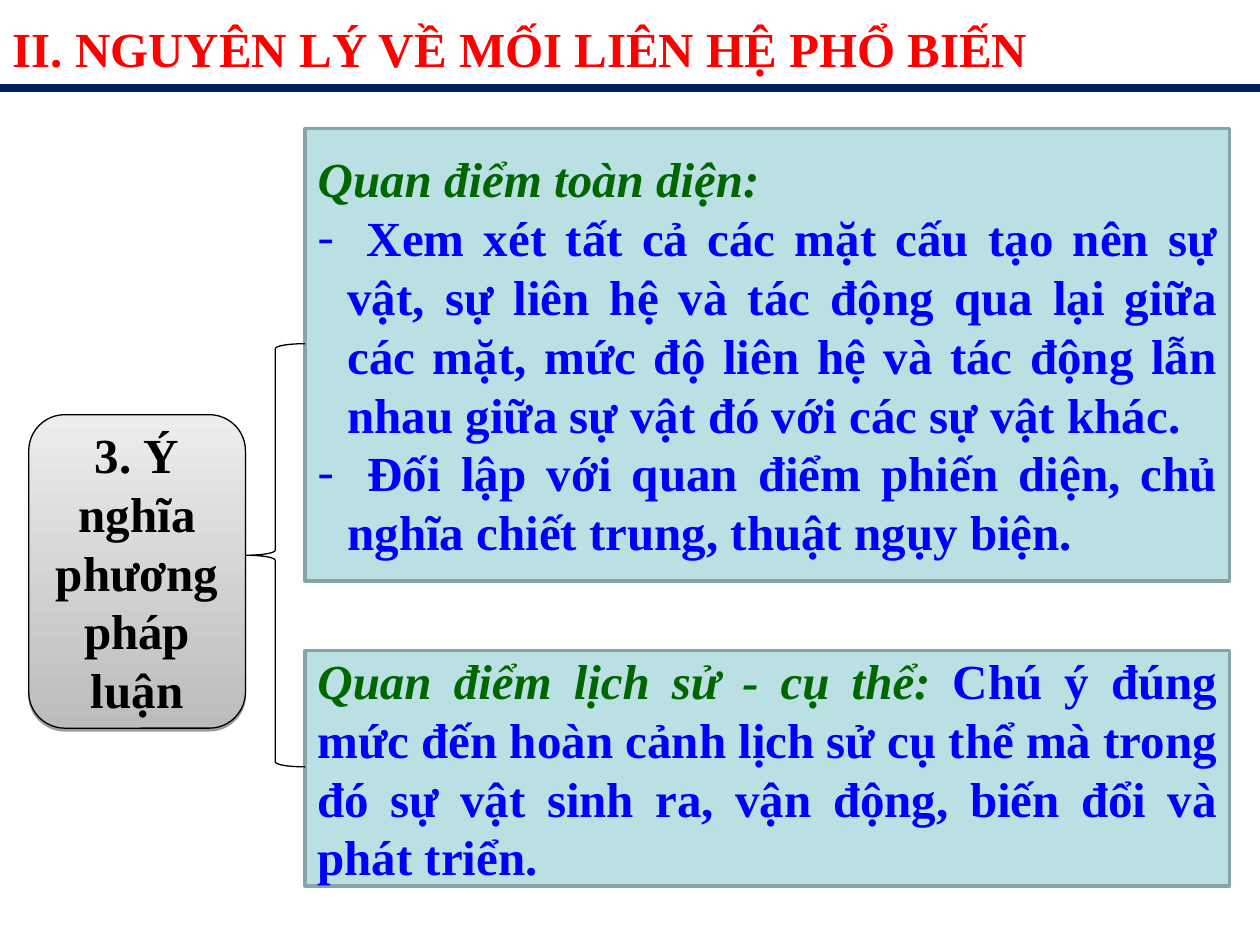
from dataclasses import dataclass

import pptx
import pptx.dml.color
import pptx.enum.shapes
import pptx.enum.text
import pptx.oxml
import pptx.oxml.ns
import pptx.util
from lxml import etree

Cm, Pt = pptx.util.Cm, pptx.util.Pt
Align = pptx.enum.text.PP_ALIGN
Anchor = pptx.enum.text.MSO_ANCHOR
Preset = pptx.enum.shapes.MSO_SHAPE
qn = pptx.oxml.ns.qn

FONT = "Times New Roman"
SIZE = 28
COLOURS = {
    "title": "FF0000", "rule": "002060", "heading": "006600", "body": "0000FF",
    "panel": "BBE0E3", "border": "89A4A7", "black": "000000",
    "grey_dark": "BCBCBC", "grey_light": "EDEDED",
}


@dataclass
class Span:
    text: str
    colour: str
    italic: bool = False


@dataclass
class Para:
    spans: list[Span]
    align: Align = Align.JUSTIFY
    bullet: bool = False
    spacing: float = 1.0
    hanging: float = 0


@dataclass
class Place:
    left: float
    top: float
    width: float
    height: float

    def lengths(self) -> list:
        return [Cm(v) for v in (self.left, self.top, self.width, self.height)]


def rgb(name: str) -> pptx.dml.color.RGBColor:
    return pptx.dml.color.RGBColor.from_string(COLOURS[name])


def put(box, place: Place) -> None:
    box.left, box.top, box.width, box.height = place.lengths()


def outline(box, colour: str, width: float) -> None:
    box.line.color.rgb = rgb(colour)
    box.line.width = Pt(width)


def write(box, paras: list[Para], anchor: Anchor = Anchor.MIDDLE) -> None:
    frame = box.text_frame
    frame.word_wrap = True
    frame.auto_size = pptx.enum.text.MSO_AUTO_SIZE.NONE
    frame.vertical_anchor = anchor
    for number, para in enumerate(paras):
        target = frame.add_paragraph() if number else frame.paragraphs[0]
        target.alignment = para.align
        target.line_spacing = para.spacing
        target.space_before = Pt(0)
        format_bullet(target, para)
        for span in para.spans:
            run = target.add_run()
            run.text = span.text
            run.font.name = FONT
            run.font.size = Pt(SIZE)
            run.font.bold = True
            run.font.italic = span.italic
            run.font.color.rgb = rgb(span.colour)


def format_bullet(target, para: Para) -> None:
    props = target._p.get_or_add_pPr()
    indent = Cm(para.hanging)
    props.set("marL", str(indent))
    props.set("indent", str(-indent))
    if not para.bullet:
        etree.SubElement(props, qn("a:buNone"))
        return
    colour = etree.SubElement(props, qn("a:buClr"))
    etree.SubElement(colour, qn("a:srgbClr"), val=COLOURS["body"])
    etree.SubElement(props, qn("a:buFont"), typeface=FONT)
    etree.SubElement(props, qn("a:buChar"), char="-")


def add_shape(page, preset: Preset, place: Place):
    box = page.shapes.add_shape(preset, *place.lengths())
    box.shadow.inherit = False
    return box


def fill_panel(box, paras: list[Para]) -> None:
    box.fill.solid()
    box.fill.fore_color.rgb = rgb("panel")
    outline(box, "border", 2)
    write(box, paras)


def add_drop_shadow(box) -> None:
    effects = box._element.spPr.find(qn("a:effectLst"))
    shadow = etree.SubElement(effects, qn("a:outerShdw"), blurRad="0",
                              dist=str(Pt(1.6)), dir="5400000", rotWithShape="0")
    colour = etree.SubElement(shadow, qn("a:srgbClr"), val=COLOURS["black"])
    etree.SubElement(colour, qn("a:alpha"), val="38000")


def main() -> None:
    deck = pptx.Presentation()
    deck.slide_width, deck.slide_height = Cm(25.4), Cm(19.05)
    page = deck.slides.add_slide(deck.slide_layouts[1])

    # Title and the rule below it
    title = page.shapes.title
    put(title, Place(0, 0, 25.4, 1.68))
    write(title, [Para([Span("II. NGUYÊN LÝ VỀ MỐI LIÊN HỆ PHỔ BIẾN", "title")],
                       spacing=1.2, hanging=1.42)], Anchor.TOP)
    rule = page.shapes.add_connector(pptx.enum.shapes.MSO_CONNECTOR.STRAIGHT,
                                     Cm(0), Cm(1.78), Cm(25.4), Cm(1.78))
    outline(rule, "rule", 4.5)
    etree.SubElement(rule._element.spPr, qn("a:effectLst"))

    # Comprehensive viewpoint
    comprehensive = page.placeholders[1]
    put(comprehensive, Place(6.15, 2.59, 18.64, 9.12))
    points = [
        " Xem xét tất cả các mặt cấu tạo nên sự vật, sự liên hệ và tác động qua lại "
        "giữa các mặt, mức độ liên hệ và tác động lẫn nhau giữa sự vật đó với các "
        "sự vật khác. ",
        " Đối lập với quan điểm phiến diện, chủ nghĩa chiết trung, thuật ngụy biện.",
    ]
    fill_panel(comprehensive, [
        Para([Span("Quan điểm toàn diện: ", "heading", True)]),
        *(Para([Span(point, "body")], bullet=True, hanging=0.6) for point in points),
    ])

    # Historical viewpoint
    historical = add_shape(page, Preset.RECTANGLE, Place(6.15, 13.11, 18.64, 4.75))
    fill_panel(historical, [Para([
        Span("Quan điểm lịch sử - cụ thể: ", "heading", True),
        Span("Chú ý đúng mức đến hoàn cảnh lịch sử cụ thể mà trong đó sự vật sinh ra, "
             "vận động, biến đổi và phát triển. ", "body"),
    ])])

    # Brace and topic
    brace = add_shape(page, Preset.LEFT_BRACE, Place(4.95, 6.93, 1.2, 8.53))
    brace.fill.background()
    outline(brace, "black", 0.75)

    topic = add_shape(page, Preset.ROUNDED_RECTANGLE, Place(0.58, 8.36, 4.37, 6.32))
    topic.fill.gradient()
    topic.fill.gradient_angle = 90
    for stop, colour in zip(topic.fill.gradient_stops, ("grey_dark", "grey_light")):
        stop.color.rgb = rgb(colour)
    outline(topic, "black", 0.75)
    add_drop_shadow(topic)
    write(topic, [Para([Span("3. Ý nghĩa phương pháp luận", "black")], Align.CENTER)])

    deck.save("out.pptx")


if __name__ == "__main__":
    main()
